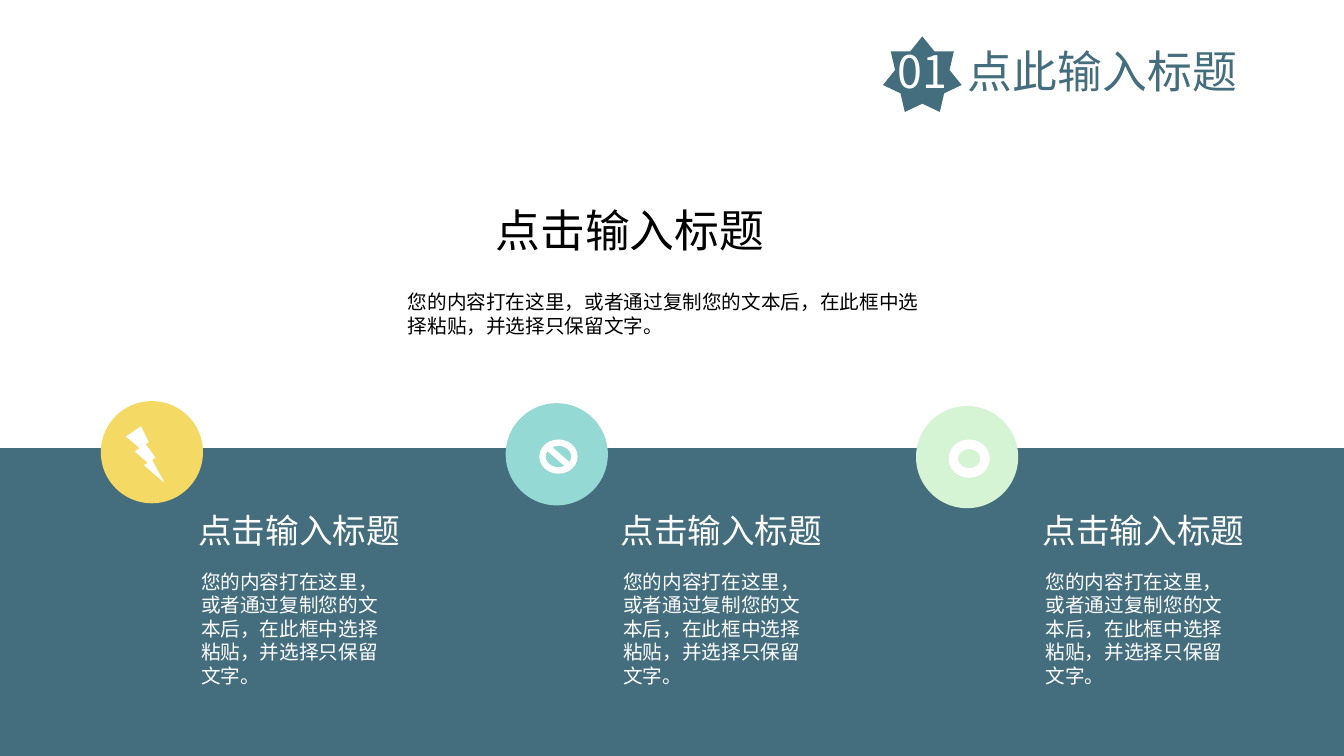
from dataclasses import dataclass

from lxml import etree
from pptx import Presentation
from pptx.dml.color import RGBColor
from pptx.enum.shapes import MSO_SHAPE
from pptx.enum.text import MSO_AUTO_SIZE, PP_ALIGN
from pptx.oxml.ns import qn
from pptx.util import Pt

STAR = MSO_SHAPE.STAR_7_POINT
RECTANGLE = MSO_SHAPE.RECTANGLE
OVAL = MSO_SHAPE.OVAL
BOLT = MSO_SHAPE.LIGHTNING_BOLT
NO_SYMBOL = MSO_SHAPE.NO_SYMBOL
DONUT = MSO_SHAPE.DONUT
GROW = MSO_AUTO_SIZE.SHAPE_TO_FIT_TEXT
LEFT, CENTER = PP_ALIGN.LEFT, PP_ALIGN.CENTER

HEADING = "点击输入标题"
BODY = "您的内容打在这里，或者通过复制您的文本后，在此框中选择粘贴，并选择只保留文字。"


@dataclass(frozen=True)
class Theme:
    """Fonts, colours and type sizes of the slide."""

    font: str = "Noto Sans CJK SC"
    teal: str = "446E7E"
    yellow: str = "F4D964"
    aqua: str = "94D9D4"
    mint: str = "D5F4D3"
    white: str = "FFFFFF"
    black: str = "000000"
    title: int = 32
    subtitle: int = 24
    body: int = 14


class SlideBuilder:
    """Draws styled elements on one slide."""

    def __init__(self, slide, theme):
        self.shapes = slide.shapes
        self.theme = theme

    def shape(self, kind, x, y, width, height, color, parent=None):
        """Add a filled preset shape without an outline."""
        shape = (parent or self.shapes).add_shape(
            kind, Pt(x), Pt(y), Pt(width), Pt(height))
        shape.shadow.inherit = False
        shape.fill.solid()
        shape.fill.fore_color.rgb = RGBColor.from_string(color)
        shape.line.fill.background()

    def text(self, pieces, x, y, width, height, size, align=LEFT, parent=None):
        """Add a wrapped text box of (wording, colour) pieces; return its paragraph."""
        box = (parent or self.shapes).add_textbox(
            Pt(x), Pt(y), Pt(width), Pt(height))
        box.text_frame.word_wrap = True
        box.text_frame.auto_size = GROW
        paragraph = box.text_frame.paragraphs[0]
        paragraph.alignment = align
        for wording, color in pieces:
            run = paragraph.add_run()
            run.text = wording
            run.font.size = Pt(size)
            run.font.name = self.theme.font
            run.font.color.rgb = RGBColor.from_string(color)
            east_asian = etree.SubElement(run.font._element, qn("a:ea"))
            east_asian.set("typeface", self.theme.font)
        return paragraph

    def section_header(self, number, title):
        """Add the starred section number and the section title."""
        theme = self.theme
        header = self.shapes.add_group_shape().shapes
        self.shape(STAR, 630.7, 26, 56.2, 54, theme.teal, header)
        paragraph = self.text(
            [(number + "\t", theme.white), (title, theme.teal)],
            634.3, 27.4, 265, 46, theme.title, parent=header)
        tabs = etree.SubElement(
            paragraph._p.get_or_add_pPr(), qn("a:tabLst"))
        etree.SubElement(
            tabs, qn("a:tab"), pos=str(Pt(50)), algn="l")

    def column(self, x):
        """Add a heading with body text on the band."""
        theme = self.theme
        self.text([(BODY, theme.white)], x + 2, 403.2, 149, 92, theme.body)
        self.text([(HEADING, theme.white)], x, 360.7, 164, 36, theme.subtitle)


def main():
    """Build and save the slide."""
    theme = Theme()
    deck = Presentation()
    deck.slide_width, deck.slide_height = Pt(960), Pt(540)
    builder = SlideBuilder(deck.slides.add_slide(deck.slide_layouts[6]), theme)

    builder.section_header("01", "点此输入标题")
    builder.shape(RECTANGLE, 0, 320.2, 960, 219.8, theme.teal)

    badges = [
        (72, 286.5, theme.yellow, BOLT, (90, 304.5, 27.4, 40.3)),
        (361.2, 288, theme.aqua, NO_SYMBOL, (385.2, 313.9, 27.4, 24.5)),
        (654.3, 290, theme.mint, DONUT, (677.5, 313.9, 29.5, 27.4)),
    ]
    for index, (x, y, color, icon, icon_box) in enumerate(badges):
        builder.shape(OVAL, x, y, 73, 73, color)
        builder.shape(icon, *icon_box, theme.white)
        builder.column(134.6 + index * 301.6)

    builder.text([(BODY, theme.black)], 284.2, 203.8, 392, 41, theme.body)
    builder.text([(HEADING, theme.black)], 330.5, 141.1, 239, 46,
                 theme.title, CENTER)
    deck.save("out.pptx")


if __name__ == "__main__":
    main()
